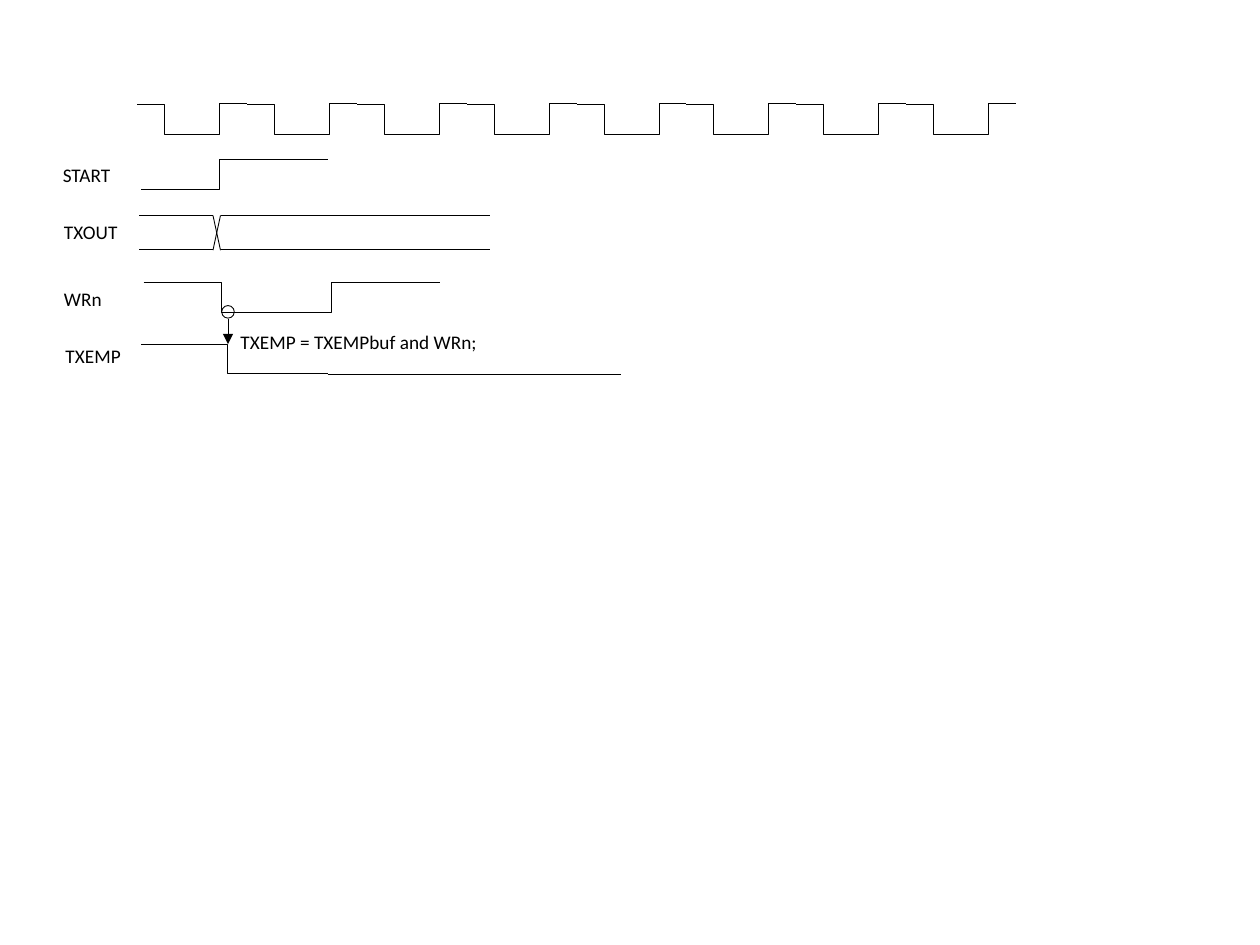
from lxml import etree
from pptx import Presentation
from pptx.dml.color import RGBColor
from pptx.enum.shapes import MSO_CONNECTOR, MSO_SHAPE
from pptx.enum.text import MSO_AUTO_SIZE
from pptx.oxml.ns import qn
from pptx.util import Pt

STRAIGHT, ELBOW = MSO_CONNECTOR.STRAIGHT, MSO_CONNECTOR.ELBOW
OVAL = MSO_SHAPE.OVAL
GROW = MSO_AUTO_SIZE.SHAPE_TO_FIT_TEXT
BLACK = "000000"
FONT = {"name": "Calibri", "size": Pt(11)}

CLOCK_LEFT, CLOCK_HIGH, CLOCK_LOW = 78.5, 59.4, 77
PERIOD, CYCLES = 62.75, 8

LABELS = [
    ("START", 28.8, 90, 43.2),
    ("TXOUT", 29.5, 122.4, 45.4),
    ("WRn", 29.5, 160.6, 36),
    ("TXEMP", 30.3, 193, 46),
    ("TXEMP = TXEMPbuf and WRn;", 130.3, 185, 150.5),
]
STEPS = [
    (80.7, 108.2, 187.3, 91.2, 0.418),
    (82.1, 161.3, 188.7, 178.4, 0.418),
    (80.7, 196.7, 187.3, 213.6, 0.462),
    (144.7, 178.4, 251.3, 161.3, 0.418),
]
LINES = [
    (187.3, 213.8, 355, 213.8),
    (79.6, 123.1, 121.7, 123.1),
    (79.6, 142.6, 121.7, 142.6),
    (126, 123.1, 280, 123.1),
    (126, 142.6, 280, 142.6),
    (121.7, 123.1, 126, 143),
    (126, 123.1, 121.7, 143),
]


def color(value):
    return RGBColor.from_string(value)


def set_line(shape):
    shape.line.color.rgb = color(BLACK)
    shape.line.width = Pt(0.5)


def add_line(s, x1, y1, x2, y2, kind=STRAIGHT):
    line = s.shapes.add_connector(kind, Pt(x1), Pt(y1), Pt(x2), Pt(y2))
    set_line(line)
    etree.SubElement(line._element.spPr, qn("a:effectLst"))
    return line


def add_step(s, x1, y1, x2, y2, bend=0.5):
    step = add_line(s, x1, y1, x2, y2, ELBOW)
    guides = step._element.spPr.find(qn("a:prstGeom")).get_or_add_avLst()
    etree.SubElement(guides, qn("a:gd"), name="adj1",
                     fmla=f"val {round(bend * 100000)}")


def add_arrow(s, x1, y1, x2, y2):
    ln = add_line(s, x1, y1, x2, y2).line._get_or_add_ln()
    etree.SubElement(ln, qn("a:tailEnd"), type="triangle")


def add_ring(s, x, y, size):
    ring = s.shapes.add_shape(OVAL, Pt(x), Pt(y), Pt(size), Pt(size))
    ring.shadow.inherit = False
    ring.fill.background()
    set_line(ring)


def add_label(s, text, x, y, width):
    tf = s.shapes.add_textbox(Pt(x), Pt(y), Pt(width), Pt(20.6)).text_frame
    tf.word_wrap = False
    tf.auto_size = GROW
    r = tf.paragraphs[0].add_run()
    r.text = text
    for name, value in FONT.items():
        setattr(r.font, name, value)
    r.font.color.rgb = color(BLACK)


def add_clock(s):
    for i in range(CYCLES):
        x = CLOCK_LEFT + i * PERIOD
        middle = x + PERIOD / 2
        add_step(s, x, CLOCK_HIGH, middle, CLOCK_LOW)
        add_step(s, middle, CLOCK_LOW, x + PERIOD, CLOCK_HIGH)


def main():
    prs = Presentation()
    prs.slide_width, prs.slide_height = Pt(720), Pt(540)
    s = prs.slides.add_slide(prs.slide_layouts[6])
    add_clock(s)
    for step in STEPS:
        add_step(s, *step)
    for line in LINES:
        add_line(s, *line)
    add_arrow(s, 130.3, 182.2, 130.3, 196.7)
    add_ring(s, 126.7, 174.6, 7.2)
    for label in LABELS:
        add_label(s, *label)
    prs.save("out.pptx")


main()
